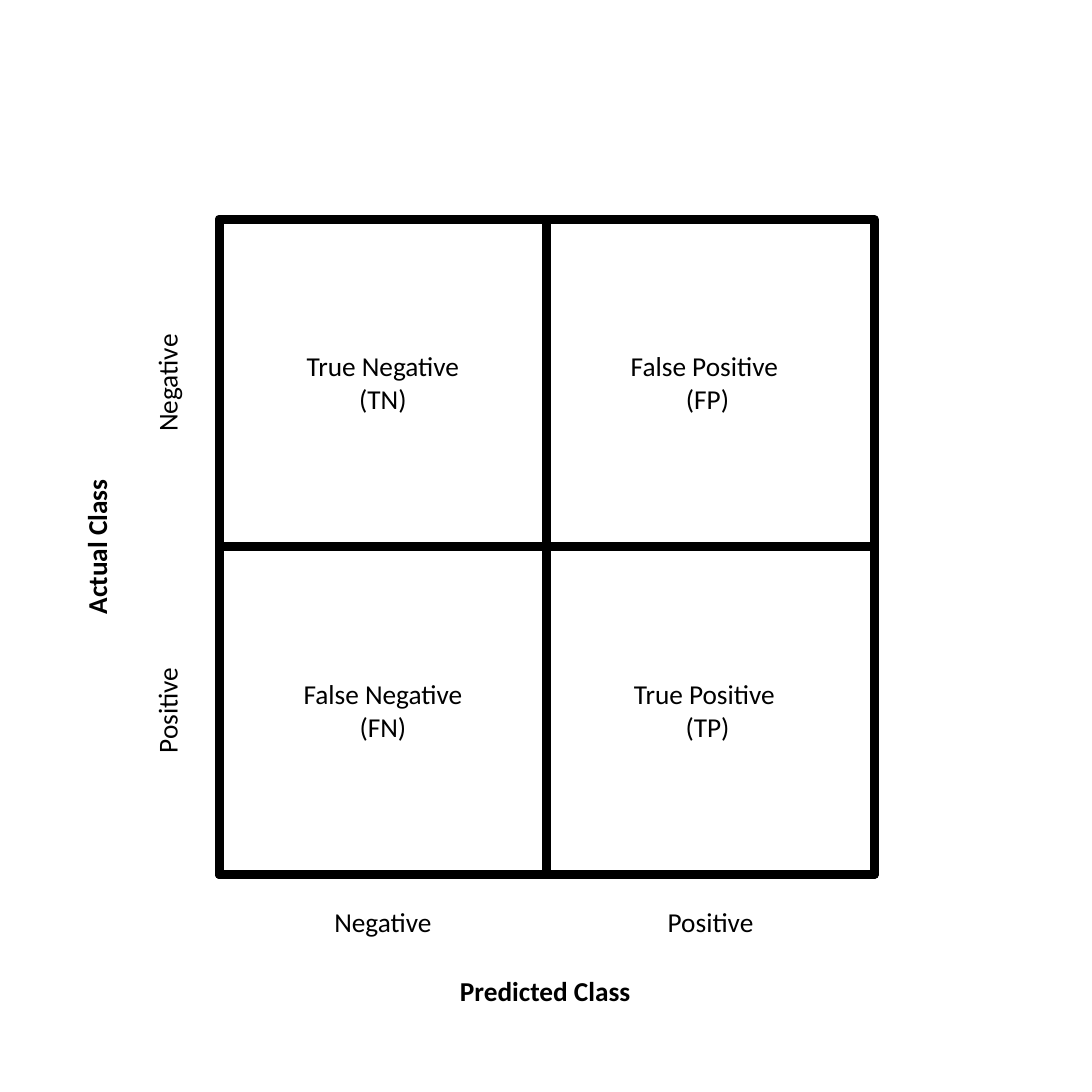
"""Build a two-by-two confusion matrix slide."""
import dataclasses

import pptx
import pptx.dml.color
import pptx.enum.shapes
import pptx.enum.text
import pptx.util

Pt = pptx.util.Pt
COLORS = {"ink": "000000", "paper": "FFFFFF"}
FONT = {"name": "Calibri", "size": Pt(18)}
PAGE = 720
ORIGIN, SIDE = 144.5, 432
CELL = SIDE / 2
LABEL_W, LINE_H, CELL_H = 144.5, 29, 51
CLASSES = ("Negative", "Positive")
CENTERS = [ORIGIN + CELL * (i + 0.5) for i in range(2)]
MIDDLE = ORIGIN + CELL


@dataclasses.dataclass(frozen=True)
class Frame:
    """An outlined rectangle of the matrix."""
    left: float
    top: float
    width: float
    height: float


@dataclasses.dataclass(frozen=True)
class Label:
    """Text placed by its centre, one string per paragraph."""
    lines: tuple[str, ...]
    x: float
    y: float
    width: float = LABEL_W
    height: float = LINE_H
    bold: bool = False
    rotation: float = 0


def rgb(key: str) -> pptx.dml.color.RGBColor:
    """Look up a named colour."""
    return pptx.dml.color.RGBColor.from_string(COLORS[key])


def add_frame(slide, frame: Frame) -> None:
    """Draw an unfilled rectangle with a heavy outline."""
    sp = slide.shapes.add_shape(
        pptx.enum.shapes.MSO_SHAPE.RECTANGLE,
        *(Pt(v) for v in dataclasses.astuple(frame)))
    sp.shadow.inherit = False
    sp.fill.background()
    sp.line.color.rgb = rgb("ink")
    sp.line.width = Pt(6)


def add_label(slide, label: Label) -> None:
    """Draw a centred, wrapping text box."""
    sp = slide.shapes.add_textbox(
        Pt(label.x - label.width / 2), Pt(label.y - label.height / 2),
        Pt(label.width), Pt(label.height))
    sp.rotation = label.rotation
    tf = sp.text_frame
    tf.word_wrap = True
    tf.auto_size = pptx.enum.text.MSO_AUTO_SIZE.SHAPE_TO_FIT_TEXT
    for i, line in enumerate(label.lines):
        p = tf.add_paragraph() if i else tf.paragraphs[0]
        p.alignment = pptx.enum.text.PP_ALIGN.CENTER
        r = p.add_run()
        r.text = line
        for name, value in {**FONT, "bold": label.bold}.items():
            setattr(r.font, name, value)
        r.font.color.rgb = rgb("ink")


FRAMES = [
    Frame(ORIGIN, ORIGIN, SIDE, SIDE),
    Frame(ORIGIN, ORIGIN, CELL, SIDE),
    Frame(ORIGIN, MIDDLE, SIDE, CELL),
]
AXIS_TITLES = [
    Label(("Actual Class",), 63.5, MIDDLE, 124.5, bold=True, rotation=270),
    Label(("Predicted Class",), MIDDLE - 1, 653.5, bold=True),
]
OUTCOMES = [
    [("True Negative (TN)",), ("False Positive ", "(FP)")],
    [("False Negative (FN)",), ("True Positive ", "(TP)")],
]


def main() -> None:
    """Assemble and save the slide."""
    prs = pptx.Presentation()
    prs.slide_width = prs.slide_height = Pt(PAGE)
    s = prs.slides.add_slide(prs.slide_layouts[6])
    s.background.fill.solid()
    s.background.fill.fore_color.rgb = rgb("paper")

    for frame in FRAMES:
        add_frame(s, frame)

    labels = list(AXIS_TITLES)
    for name, center in zip(CLASSES, CENTERS):
        labels.append(Label((name,), center, 607.5))
        labels.append(Label((name,), 110, center, rotation=270))
    for row, y in zip(OUTCOMES, CENTERS):
        for lines, x in zip(row, (CENTERS[0], CENTERS[1] - 2)):
            labels.append(Label(lines, x, y, height=CELL_H))
    for label in labels:
        add_label(s, label)

    prs.save("out.pptx")


main()
